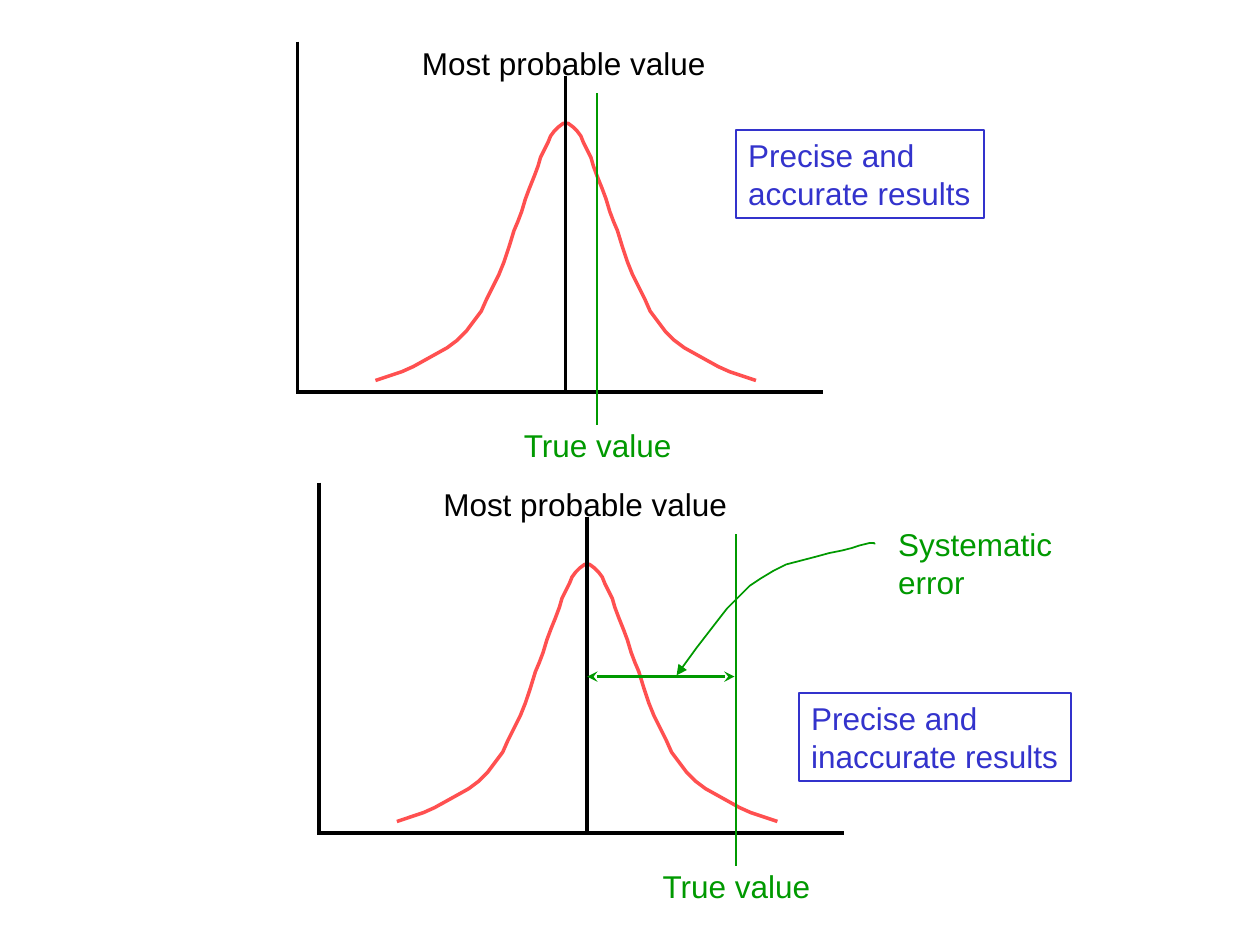
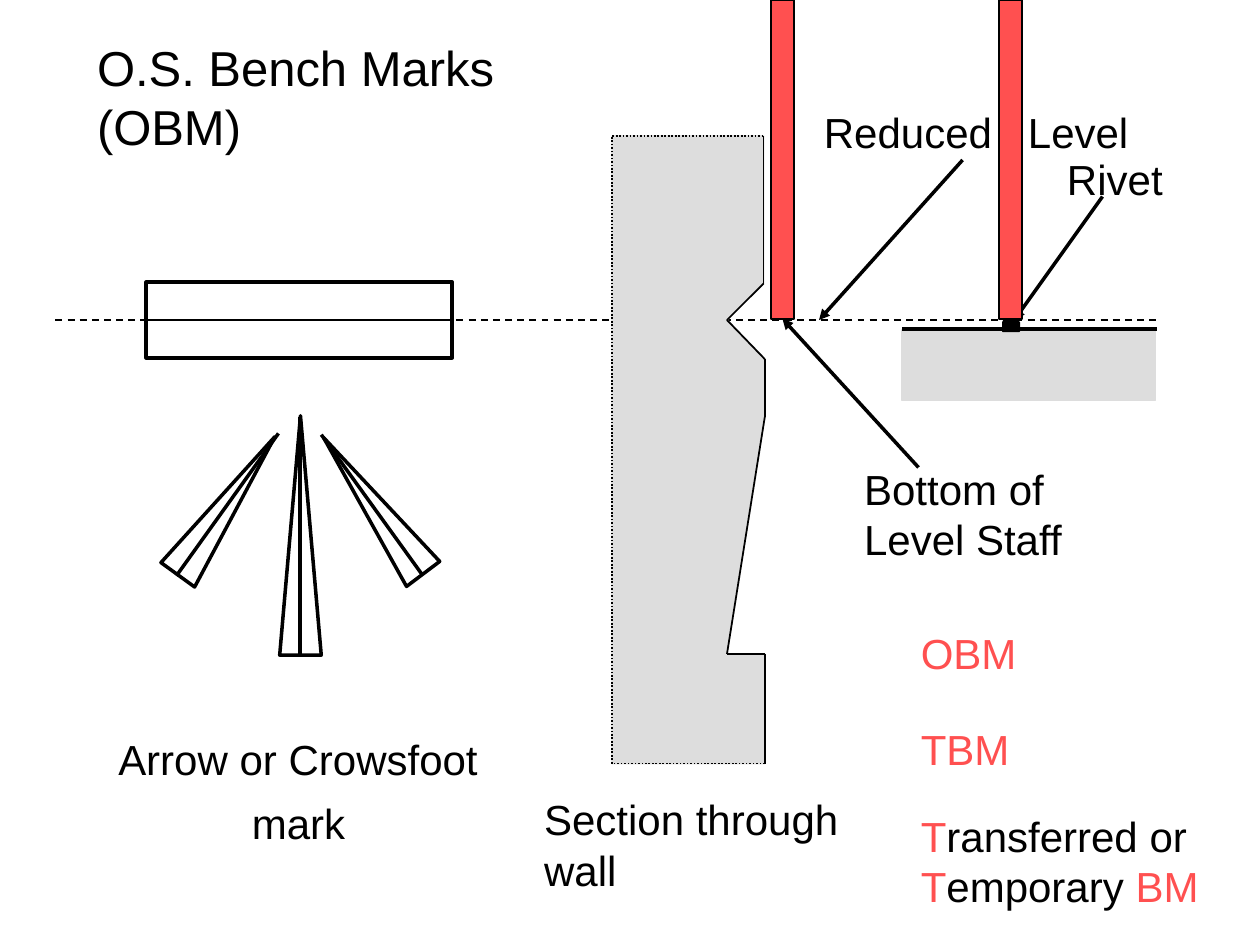
from itertools import pairwise

from pptx import Presentation
from pptx.dml.color import RGBColor
from pptx.enum.dml import MSO_LINE
from pptx.enum.shapes import MSO_CONNECTOR, MSO_SHAPE
from pptx.enum.text import MSO_ANCHOR, MSO_AUTO_SIZE, PP_ALIGN
from pptx.oxml.ns import qn
from pptx.util import Inches, Pt
from lxml.etree import SubElement

FONT = "Arial"
BLACK, RED, GREEN, BLUE, GREY = "000000", "FF5050", "009900", "3333CC", "DDDDDD"
THIN, THICK = 1, 2

# Distances of the bell curve from its peak: sideways, downwards
HALF_BELL = [
    (1.51, 2.04), (1.3, 1.97), (1.21, 1.93), (1.12, 1.88), (1.03, 1.83),
    (0.94, 1.78), (0.86, 1.72), (0.79, 1.65), (0.73, 1.57), (0.67, 1.49),
    (0.63, 1.4), (0.58, 1.3), (0.53, 1.2), (0.49, 1.1), (0.45, 0.98),
    (0.41, 0.85), (0.38, 0.78), (0.35, 0.7), (0.32, 0.6), (0.29, 0.52),
    (0.25, 0.42), (0.22, 0.34), (0.2, 0.27), (0.17, 0.21), (0.14, 0.15),
    (0.12, 0.1), (0.09, 0.06), (0.06, 0.03), (0.02, 0), (0, 0),
]
DISTRIBUTIONS = [
    {"peak": (4.49, 0.98), "true_x": 4.74, "verdict": ["Precise and", "accurate results"],
     "verdict_box": (5.84, 1.03, 1.97, 0.7)},
    {"peak": (4.66, 4.48), "true_x": 5.84, "verdict": ["Precise and", "inaccurate results"],
     "verdict_box": (6.34, 5.5, 2.16, 0.7)},
]
ERROR_POINTER = [
    (5.37, 5.36), (5.53, 5.14), (5.7, 4.92), (5.77, 4.83), (5.86, 4.74),
    (5.95, 4.65), (6.04, 4.59), (6.14, 4.53), (6.24, 4.48), (6.47, 4.42),
    (6.58, 4.39), (6.68, 4.37), (6.76, 4.35), (6.82, 4.33), (6.9, 4.31),
    (6.94, 4.31), (6.94, 4.32),
]

TITLE = "O.S. Bench Marks (OBM)"
LEVEL_Y = 2.54
CROWSFOOT_TOES = [
    ((2.22, 3.3, 0.33, 1.9), 0, 0.5),
    ((2.79, 3.35, 0.33, 1.34), 323, 0.563),
    ((1.64, 3.35, 0.33, 1.34), 36, 0.437),
]
TOE_CENTRES = [((2.21, 3.44), (1.4, 4.57)), ((2.55, 3.45), (3.35, 4.56)),
               ((2.38, 3.31), (2.38, 5.2))]
WALL = [(4.86, 1.08), (6.06, 1.08), (6.06, 2.25), (5.77, 2.54), (6.07, 2.85),
        (6.07, 3.31), (5.77, 5.19), (6.07, 5.19), (6.07, 6.06), (4.86, 6.06)]
CUT_EDGES = (0, 8, 9)
RIVET = [(7.96, 2.57), (7.96, 2.56), (7.97, 2.54), (8, 2.53), (8.05, 2.53),
         (8.07, 2.54), (8.09, 2.56), (8.09, 2.63), (7.96, 2.63)]
BENCH_MARK_LABELS = [
    ((0.84, 5.77, 3.05, 0.5), ["Arrow or Crowsfoot"], BLACK),
    ((1.9, 6.28, 0.94, 0.5), ["mark"], BLACK),
    ((6.44, 0.8, 2.61, 0.5), ["Reduced\tLevel"], BLACK),
    ((4.22, 6.25, 2.54, 0.9), ["Section through", "wall"], BLACK),
    ((8.37, 1.17, 0.96, 0.5), ["Rivet"], BLACK),
    ((6.76, 3.63, 1.78, 0.9), ["Bottom of", "Level Staff"], BLACK),
    ((7.21, 4.93, 0.96, 0.5), ["OBM"], RED),
    ((7.21, 5.69, 0.91, 0.5), ["TBM"], RED),
    ((7.21, 6.38, 2.41, 0.9),
     [[("T", RED), ("ransferred or", BLACK)],
      [("T", RED), ("emporary", BLACK), (" BM", RED)]], BLACK),
]
LEVEL_TAB = 1.62


def rgb(colour):
    return RGBColor.from_string(colour)


def inches(values):
    return [Inches(value) for value in values]


def style(shape, fill=None, line=BLACK, width=THIN):
    shape.shadow.inherit = False
    if fill:
        shape.fill.solid()
        shape.fill.fore_color.rgb = rgb(fill)
    else:
        shape.fill.background()
    shape.line.color.rgb = rgb(line)
    shape.line.width = Pt(width)
    return shape


def add_arrowheads(shape, **ends):
    outline = shape.line._get_or_add_ln()
    for end, kind in ends.items():
        SubElement(outline, qn(f"a:{end}End"), type=kind)


def add_preset(slide, box, kind=MSO_SHAPE.RECTANGLE, **look):
    return style(slide.shapes.add_shape(kind, *inches(box)), **look)


def add_outline(slide, points, closed=False, **look):
    points = [(round(x * 100), round(y * 100)) for x, y in points]
    builder = slide.shapes.build_freeform(*points[0], scale=Inches(0.01))
    builder.add_line_segments(points[1:], close=closed)
    return style(builder.convert_to_shape(), **look)


def add_line(slide, start, end, colour=BLACK, width=THICK, dash=None, **arrowheads):
    connector = slide.shapes.add_connector(MSO_CONNECTOR.STRAIGHT, *inches(start + end))
    connector.line.color.rgb = rgb(colour)
    connector.line.width = Pt(width)
    if dash:
        connector.line.dash_style = dash
    add_arrowheads(connector, **arrowheads)
    SubElement(connector._element.spPr, qn("a:effectLst"))
    return connector


def write(shape, paragraphs, size=18, colour=BLACK, tab=None):
    frame = shape.text_frame
    frame.word_wrap = False
    frame.auto_size = MSO_AUTO_SIZE.NONE
    frame.vertical_anchor = MSO_ANCHOR.TOP
    for index, content in enumerate(paragraphs):
        paragraph = frame.add_paragraph() if index else frame.paragraphs[0]
        paragraph.alignment = PP_ALIGN.LEFT
        if tab:
            stops = SubElement(paragraph._p.get_or_add_pPr(), qn("a:tabLst"))
            SubElement(stops, qn("a:tab"), pos=str(Inches(tab)), algn="l")
        for words, run_colour in [(content, colour)] if isinstance(content, str) else content:
            run = paragraph.add_run()
            run.text = words
            run.font.name = FONT
            run.font.size = Pt(size)
            run.font.color.rgb = rgb(run_colour)


def add_text(slide, box, paragraphs, **text_format):
    write(slide.shapes.add_textbox(*inches(box)), paragraphs, **text_format)


def add_distribution(slide, peak, true_x, verdict, verdict_box):
    x, top = peak
    axis_x, axis_y = x - 2.13, top + 2.13
    for side in (-1, 1):
        add_outline(slide, [(x + side * dx, top + dy) for dx, dy in HALF_BELL],
                    line=RED, width=THICK)
    add_line(slide, (x, top - 0.38), (x, axis_y + 0.02))
    add_line(slide, (axis_x, top - 0.65), (axis_x, axis_y + 0.02))
    add_line(slide, (axis_x, axis_y), (axis_x + 4.17, axis_y))
    add_text(slide, (x - 1.24, top - 0.68, 2.45, 0.4), ["Most probable value"])
    write(add_preset(slide, verdict_box, line=BLUE), verdict, colour=BLUE)
    add_line(slide, (true_x, top + 2.39), (true_x, top - 0.24), GREEN, THIN)
    add_text(slide, (true_x - 0.68, top + 2.35, 1.38, 0.4), ["True value"], colour=GREEN)


def build_error_slide(presentation):
    slide = presentation.slides.add_slide(presentation.slide_layouts[6])
    for distribution in DISTRIBUTIONS:
        add_distribution(slide, **distribution)
    add_line(slide, (4.66, 5.37), (5.83, 5.37), GREEN, head="stealth", tail="stealth")
    pointer = add_outline(slide, ERROR_POINTER, line=GREEN)
    add_arrowheads(pointer, head="triangle")
    add_text(slide, (7.03, 4.12, 1.42, 0.7), ["Systematic", "error"], colour=GREEN)


def build_bench_mark_slide(presentation):
    slide = presentation.slides.add_slide(presentation.slide_layouts[5])
    title = slide.shapes.title
    title.left, title.top, title.width, title.height = inches((0.67, 0.25, 4.6, 0.57))
    write(title, [TITLE], size=28)

    slot = add_preset(slide, (1.16, 2.24, 2.43, 0.6), width=THICK)
    slot_centre = add_line(slide, (1.16, LEVEL_Y), (3.59, LEVEL_Y), width=THIN)
    slot_centre.begin_connect(slot, 1)
    slot_centre.end_connect(slot, 3)
    add_line(slide, (0.44, LEVEL_Y), (9.18, LEVEL_Y), width=THIN, dash=MSO_LINE.DASH)
    for box, rotation, apex in CROWSFOOT_TOES:
        toe = add_preset(slide, box, MSO_SHAPE.ISOSCELES_TRIANGLE, width=THICK)
        toe.adjustments[0] = apex
        toe.rotation = rotation
    for start, end in TOE_CENTRES:
        add_line(slide, start, end)

    add_outline(slide, WALL, closed=True, fill=GREY, line=GREY)
    for index, (start, end) in enumerate(pairwise(WALL + WALL[:1])):
        dash = MSO_LINE.ROUND_DOT if index in CUT_EDGES else None
        add_line(slide, start, end, width=THIN, dash=dash)

    add_preset(slide, (7.16, 2.62, 2.01, 0.56), fill=GREY, line=GREY)
    add_line(slide, (7.16, 2.61), (9.18, 2.61))
    add_outline(slide, RIVET, closed=True, fill=BLACK)
    for box, paragraphs, colour in BENCH_MARK_LABELS:
        tab = LEVEL_TAB if "\t" in paragraphs[0] else None
        add_text(slide, box, paragraphs, size=24, colour=colour, tab=tab)
    add_line(slide, (7.64, 1.27), (6.5, LEVEL_Y), tail="triangle")
    add_line(slide, (8.75, 1.56), (8.05, LEVEL_Y), tail="triangle")
    wall_staff, rivet_staff = [
        add_preset(slide, (left, 0, 0.18, 2.53), fill=RED) for left in (6.12, 7.93)]
    staff_pointer = add_line(slide, (7.29, 3.71), (6.21, 2.53), tail="triangle")
    staff_pointer.end_connect(wall_staff, 2)


def main():
    presentation = Presentation()
    presentation.slide_width, presentation.slide_height = Inches(10), Inches(7.5)
    build_error_slide(presentation)
    build_bench_mark_slide(presentation)
    presentation.save("out.pptx")


if __name__ == "__main__":
    main()
